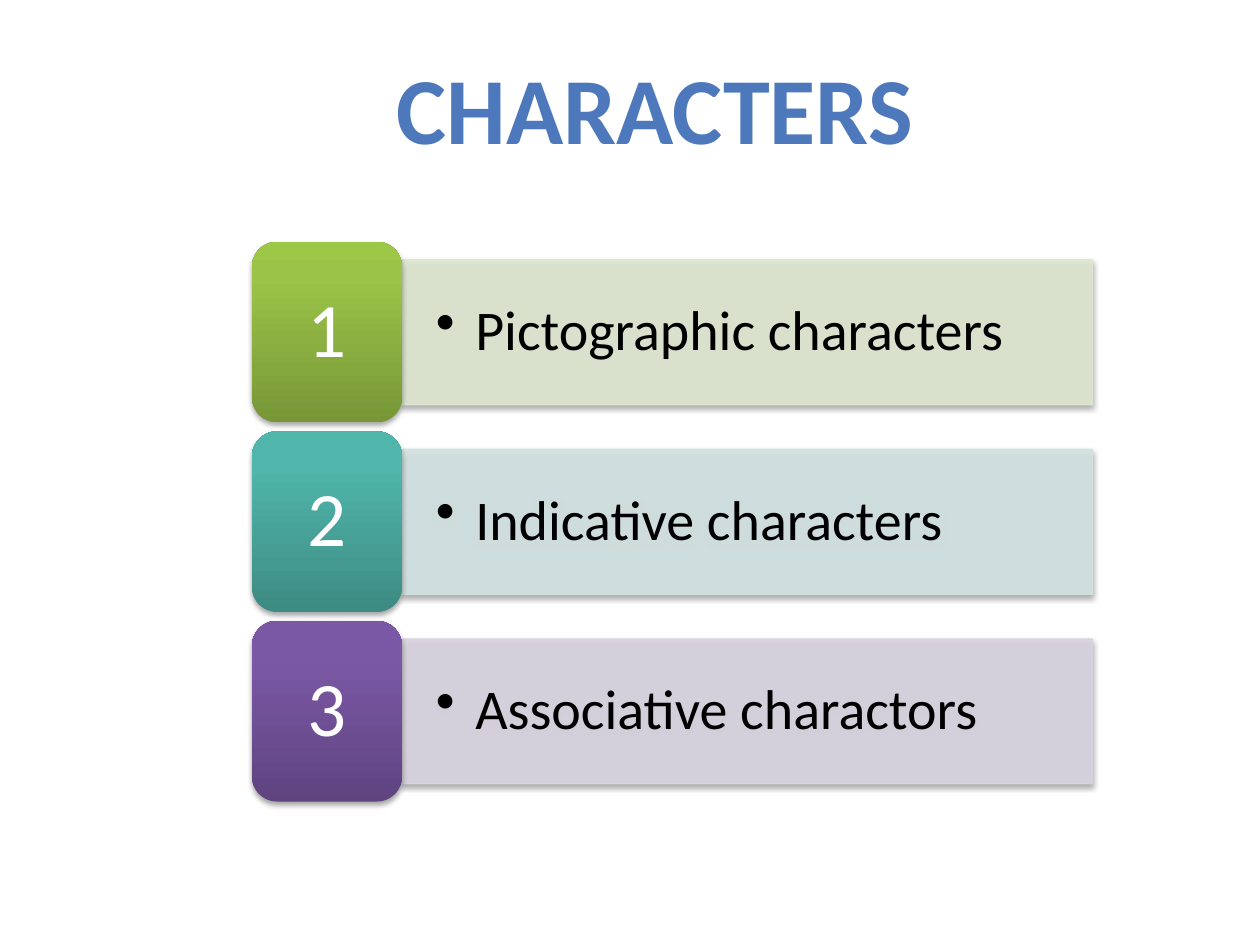
from lxml import etree
from copy import deepcopy
from pptx import Presentation
from pptx.dml.color import RGBColor
from pptx.enum.shapes import MSO_SHAPE
from pptx.enum.text import MSO_ANCHOR, PP_ALIGN
from pptx.oxml.ns import qn
from pptx.util import Pt

RECT, ROUND = MSO_SHAPE.RECTANGLE, MSO_SHAPE.ROUNDED_RECTANGLE
MIDDLE = MSO_ANCHOR.MIDDLE
LEFT, CENTER = PP_ALIGN.LEFT, PP_ALIGN.CENTER
INK = {"title": "4D79BC", "text": "000000", "num": "FFFFFF", "shade": "000000"}
ROWS = [
    ("Pictographic characters", "DEE7D1", ("779737", "9BC348", "9DC746")),
    ("Indicative characters", "D2E3E2", ("3D8B83", "50B5AA", "4EB8AC")),
    ("Associative charactors", "D8D3E0", ("5F4480", "7B58A6", "7C57A8")),
]
STOPS = (0, 0.8, 1)
PITCH = 108.3


def add_box(kind, x, y, w, h, text, size, color, align, inset):
    box = slide.shapes.add_shape(kind, Pt(x), Pt(y), Pt(w), Pt(h))
    box.shadow.inherit = False
    glow = etree.SubElement(
        box._element.spPr.find(qn("a:effectLst")), qn("a:outerShdw"),
        blurRad=str(Pt(3.1)), dist=str(Pt(1.8)), dir="5400000", rotWithShape="0")
    shade = etree.SubElement(glow, qn("a:srgbClr"), val=INK["shade"])
    etree.SubElement(shade, qn("a:alpha"), val="35000")
    frame = box.text_frame
    frame.word_wrap = True
    frame.vertical_anchor = MIDDLE
    frame.margin_left = frame.margin_right = Pt(inset)
    para = frame.paragraphs[0]
    para.text = text
    para.alignment = align
    para.line_spacing = 0.9
    para.font.name = "Calibri"
    para.font.size = Pt(size)
    para.font.color.rgb = RGBColor.from_string(color)
    return box


deck = Presentation()
deck.slide_width, deck.slide_height = Pt(720), Pt(540)
slide = deck.slides.add_slide(deck.slide_layouts[5])

title = slide.shapes.title
title.left, title.top, title.width, title.height = Pt(195.8), Pt(24.5), Pt(357), Pt(72.7)
title.text_frame.vertical_anchor = MIDDLE
head = title.text_frame.paragraphs[0]
head.text = "CHARACTERS"
head.alignment = CENTER
head.font.name = "Calibri"
head.font.size = Pt(54)
head.font.bold = True
head.font.color.rgb = RGBColor.from_string(INK["title"])

for row, (label, tint, shades) in enumerate(ROWS):
    top = 138.2 + row * PITCH
    bar = add_box(RECT, 229.7, top + 10.3, 394.6, 82.8, label, 32, INK["text"], LEFT, 19.4)
    bar.fill.solid()
    bar.fill.fore_color.rgb = RGBColor.from_string(tint)
    bar.line.color.rgb = RGBColor.from_string(tint)
    bar.line.width = Pt(0.75)
    for color in bar._element.spPr.iter(qn("a:srgbClr")):
        if color.get("val") == tint:
            etree.SubElement(color, qn("a:alpha"), val="90000")
    props = bar.text_frame.paragraphs[0]._p.get_or_add_pPr()
    props.set("marL", str(Pt(22.5)))
    props.set("indent", str(Pt(-22.5)))
    dot = etree.Element(qn("a:buChar"), char="•")
    props.find(qn("a:lnSpc")).addnext(dot)

    tile = add_box(ROUND, 144, top, 85.7, 103.2, str(row + 1), 44, INK["num"], CENTER, 17)
    tile.line.fill.background()
    tile.fill.gradient()
    tile.fill.gradient_angle = 90
    stops = tile._element.spPr.find(qn("a:gradFill")).find(qn("a:gsLst"))
    stops.append(deepcopy(stops[-1]))
    for stop, place, shade in zip(tile.fill.gradient_stops, STOPS, shades):
        stop.position = place
        stop.color.rgb = RGBColor.from_string(shade)

deck.save("out.pptx")
